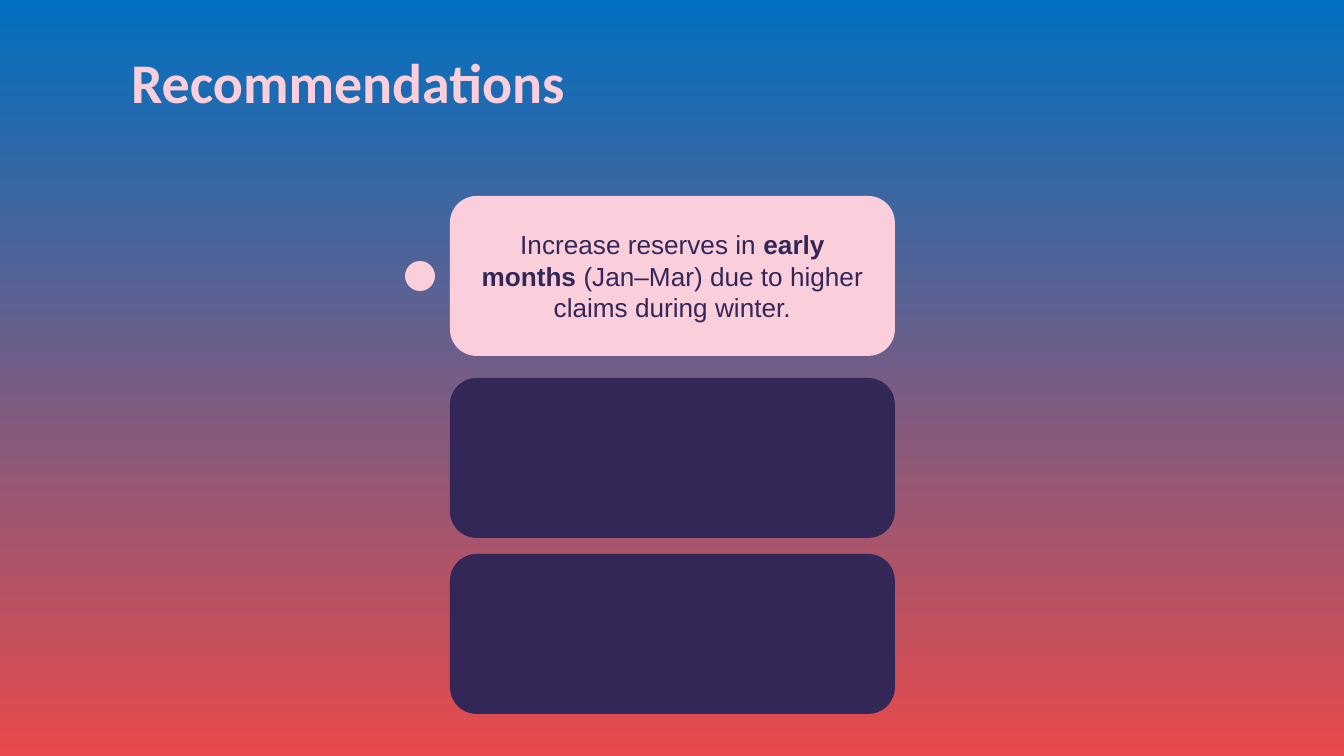
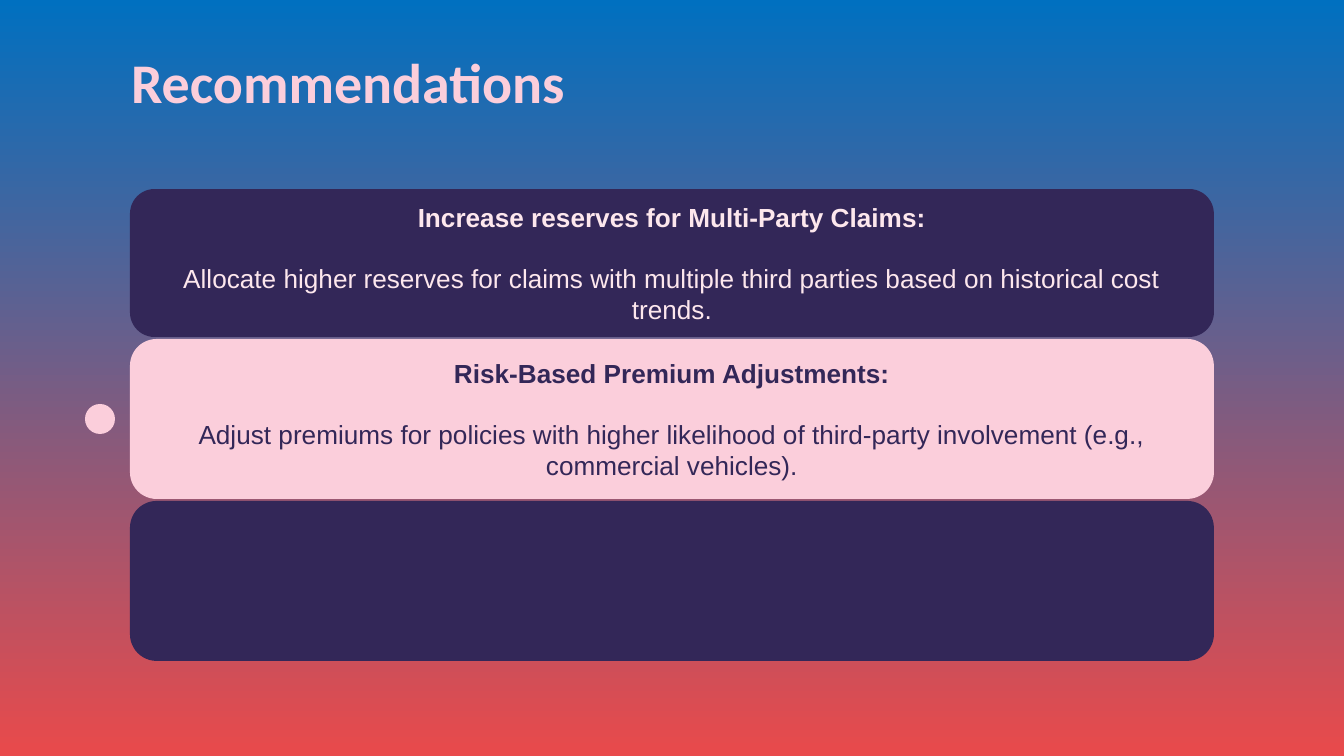
import pptx
import pptx.dml.color
import pptx.enum.shapes
import pptx.enum.text
import pptx.util

RGBColor = pptx.dml.color.RGBColor
MSO_SHAPE = pptx.enum.shapes.MSO_SHAPE
MSO_ANCHOR = pptx.enum.text.MSO_ANCHOR
PP_ALIGN = pptx.enum.text.PP_ALIGN

# Shared look
BLUE = RGBColor(0x00, 0x70, 0xC0)
RED = RGBColor(0xE9, 0x4A, 0x4B)
PINK = RGBColor(0xFB, 0xCE, 0xDB)
PALE_PINK = RGBColor(0xFD, 0xE7, 0xED)
PURPLE = RGBColor(0x33, 0x27, 0x58)

SLIDE_WIDTH, SLIDE_HEIGHT = 1344, 756
CARD_HEIGHT = 160
DOT_SIZE = 30
DOT_OFFSET = 45


def px(length):
    return pptx.util.Emu(round(length * 9144000 / SLIDE_WIDTH))


def add_paragraph(text_frame, text, *, first=True, font="Arial", size=14,
                  color=PURPLE, bold=False, bold_part=None,
                  align=PP_ALIGN.CENTER, space_before=0):
    """Write one paragraph; bold_part is the stretch of text set in bold."""
    paragraph = text_frame.paragraphs[0] if first else text_frame.add_paragraph()
    paragraph.alignment = align
    if space_before:
        paragraph.space_before = pptx.util.Pt(space_before)
    pieces = [(text, bold)]
    if bold_part:
        before, middle, after = text.partition(bold_part)
        pieces = [(before, False), (middle, True), (after, False)]
    for piece, is_bold in pieces:
        run = paragraph.add_run()
        run.text = piece
        run.font.name = font
        run.font.size = pptx.util.Pt(size)
        run.font.bold = is_bold
        run.font.color.rgb = color


def add_plain_shape(slide, kind, left, top, width, height, color):
    shape = slide.shapes.add_shape(kind, px(left), px(top), px(width), px(height))
    shape.shadow.inherit = False
    shape.fill.solid()
    shape.fill.fore_color.rgb = color
    shape.line.fill.background()
    return shape


def add_card(slide, left, top, width, height=CARD_HEIGHT, color=PURPLE):
    card = add_plain_shape(slide, MSO_SHAPE.ROUNDED_RECTANGLE,
                           left, top, width, height, color)
    card.text_frame.word_wrap = True
    card.text_frame.vertical_anchor = MSO_ANCHOR.MIDDLE
    return card.text_frame


def add_current_card(slide, left, top, width):
    """Highlighted card with a dot beside its middle."""
    dot_top = top + (CARD_HEIGHT - DOT_SIZE) // 2
    add_plain_shape(slide, MSO_SHAPE.OVAL, left - DOT_OFFSET, dot_top,
                    DOT_SIZE, DOT_SIZE, PINK)
    return add_card(slide, left, top, width, color=PINK)


def add_heading_and_body(text_frame, heading, body, color):
    add_paragraph(text_frame, heading, color=color, bold=True)
    add_paragraph(text_frame, body, first=False, color=color, space_before=16)


def add_recommendation_slide(presentation):
    slide = presentation.slides.add_slide(presentation.slide_layouts[6])
    # Background, red at the bottom to blue at the top
    fill = slide.background.fill
    fill.gradient()
    fill.gradient_angle = 90
    for stop, color in zip(fill.gradient_stops, (RED, BLUE)):
        stop.color.rgb = color
    # Title
    title = slide.shapes.add_textbox(px(118), px(40), px(1085), px(148)).text_frame
    title.word_wrap = True
    title.vertical_anchor = MSO_ANCHOR.BOTTOM
    title.margin_left = title.margin_right = px(13)
    title.margin_top = 0
    title.margin_bottom = px(80)
    add_paragraph(title, "Recommendations", font="Calibri", size=30,
                  color=PINK, bold=True, align=PP_ALIGN.LEFT)
    return slide


def build_seasonal_slide(presentation):
    slide = add_recommendation_slide(presentation)
    left, width = 450, 445
    season = add_current_card(slide, left, 196, width)
    add_paragraph(season, "Increase reserves in early months (Jan–Mar) due to "
                  "higher claims during winter.", bold_part="early months ")
    for top in (378, 554):
        add_card(slide, left, top, width)


def build_claims_slide(presentation):
    slide = add_recommendation_slide(presentation)
    left, width = 130, 1084
    reserves = add_card(slide, left, 189, width, height=148)
    add_heading_and_body(
        reserves, "Increase reserves for Multi-Party Claims:",
        "Allocate higher reserves for claims with multiple third parties "
        "based on historical cost trends.", PALE_PINK)
    premiums = add_current_card(slide, left, 339, width)
    add_heading_and_body(
        premiums, "Risk-Based Premium Adjustments:",
        "Adjust premiums for policies with higher likelihood of third-party "
        "involvement (e.g., commercial vehicles).", PURPLE)
    add_card(slide, left, 501, width)


def main():
    presentation = pptx.Presentation()
    presentation.slide_width = px(SLIDE_WIDTH)
    presentation.slide_height = px(SLIDE_HEIGHT)
    build_seasonal_slide(presentation)
    build_claims_slide(presentation)
    presentation.save("out.pptx")


if __name__ == "__main__":
    main()
